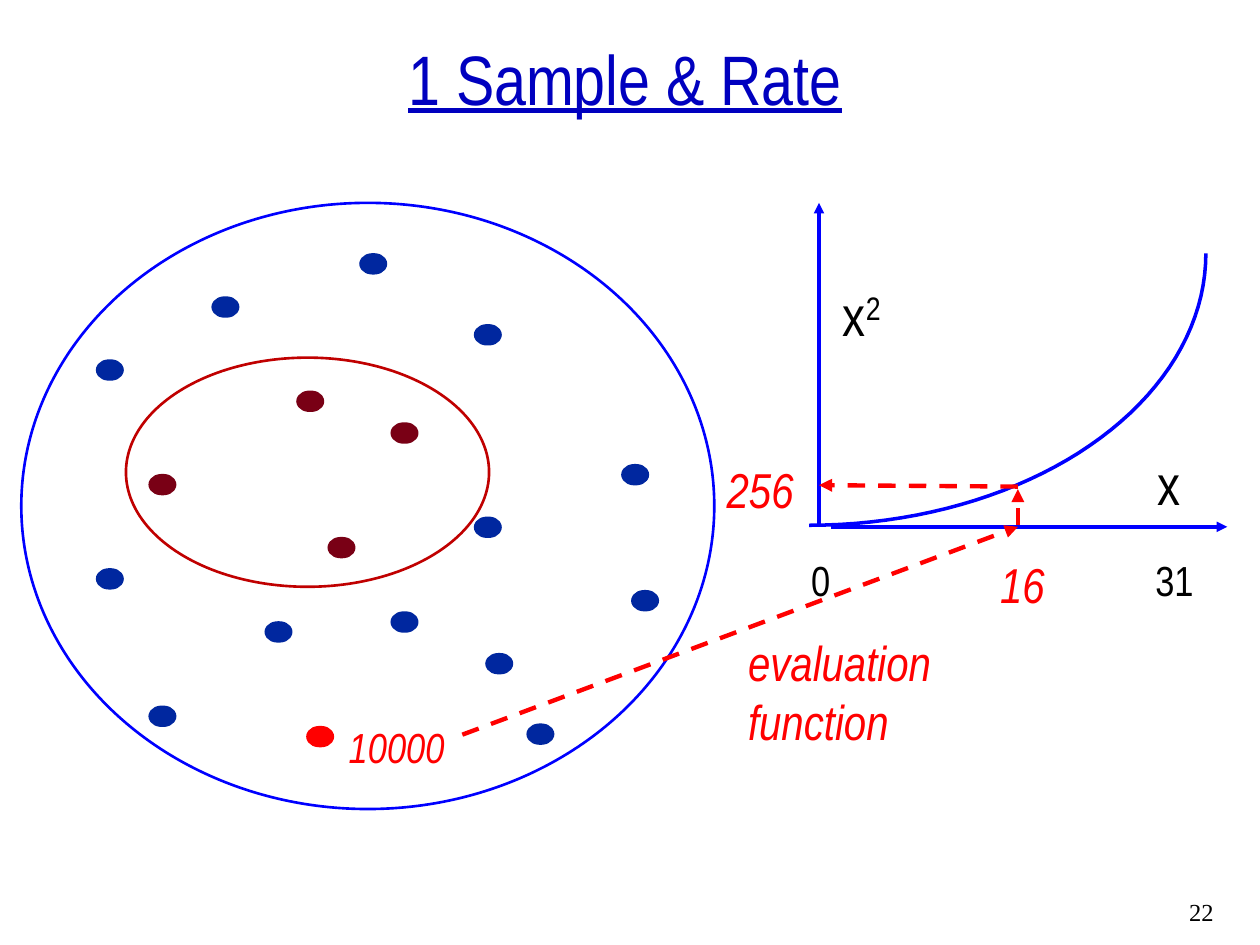
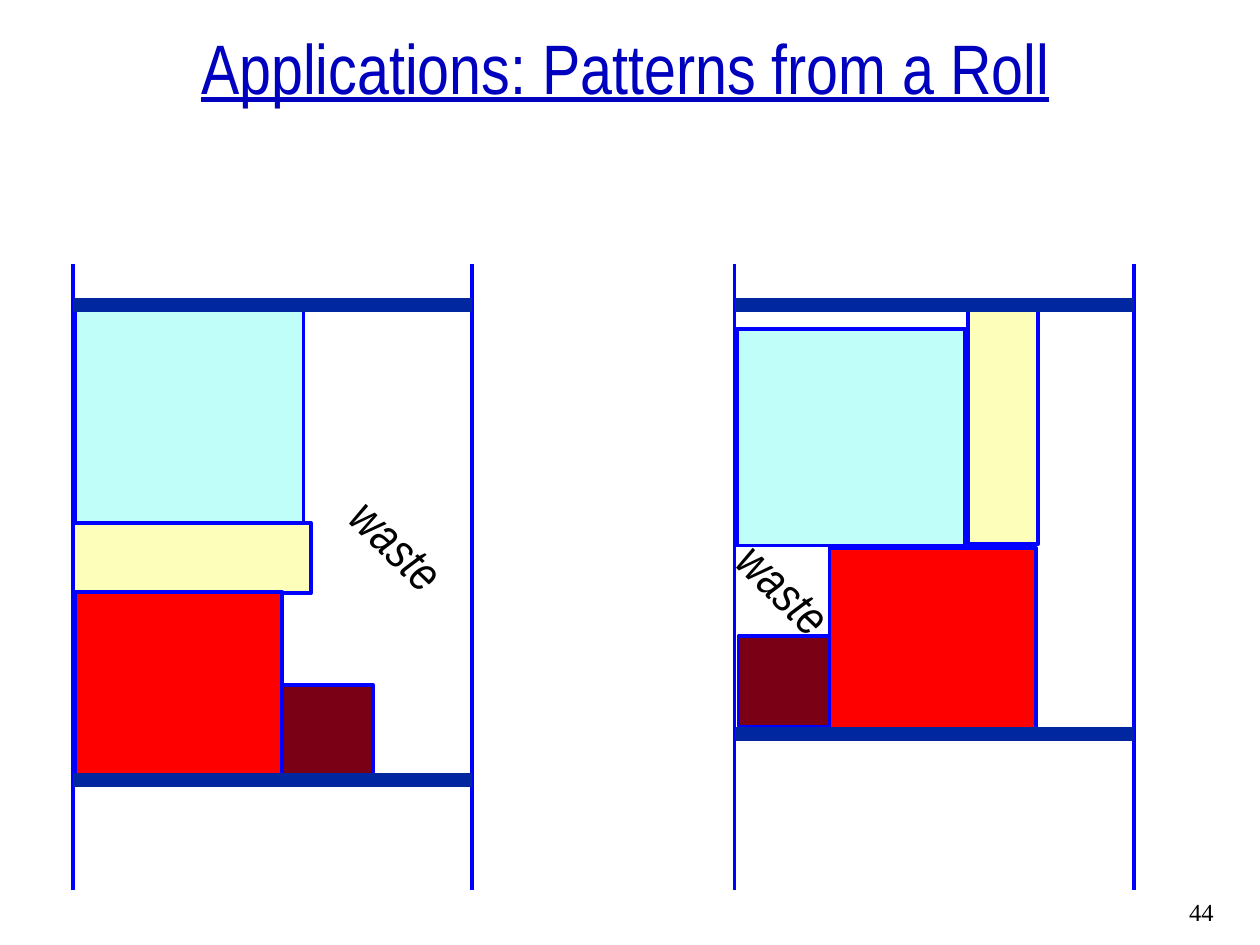
from dataclasses import dataclass
from math import cos, pi, sin

from lxml import etree
from pptx import Presentation
from pptx.dml.color import RGBColor
from pptx.enum.dml import MSO_LINE
from pptx.enum.shapes import MSO_CONNECTOR, MSO_SHAPE
from pptx.enum.text import MSO_ANCHOR, MSO_AUTO_SIZE, PP_ALIGN
from pptx.oxml.ns import qn
from pptx.util import Cm, Pt

OVAL = MSO_SHAPE.OVAL
RECT = MSO_SHAPE.RECTANGLE
STRAIGHT = MSO_CONNECTOR.STRAIGHT
DASH = MSO_LINE.DASH
CENTER = PP_ALIGN.CENTER
BOTTOM = MSO_ANCHOR.BOTTOM
NO_FIT = MSO_AUTO_SIZE.NONE
TITLE_ONLY = 5


@dataclass(frozen=True)
class Theme:
    font: str = "Arial Narrow"
    number_font: str = "Times New Roman"
    title: str = "0000BF"
    text: str = "000000"
    blue: str = "0000FF"
    navy: str = "00279F"
    red: str = "FF0000"
    crimson: str = "C00000"
    maroon: str = "790015"
    cyan: str = "C0FEF9"
    yellow: str = "FCFEB9"
    title_size: int = 40
    axis_size: int = 32
    note_size: int = 28
    label_size: int = 24
    number_size: int = 14
    outline: float = 1.5
    line: float = 2
    arrow: float = 2.5
    bar: float = 8
    dot: float = 10


T = Theme()
PIECES = {
    T.cyan: (4.6, 4.37),
    T.yellow: (4.8, 1.42),
    T.maroon: (1.83, 1.83),
    T.red: (4.17, 3.73),
}


def rgb(color):
    return RGBColor.from_string(color)


def add_run(p, text, size, color=T.text, font=T.font, italic=False):
    r = p.add_run()
    r.text = text
    r.font.name = font
    r.font.size = Pt(size)
    r.font.color.rgb = rgb(color)
    r.font.italic = italic
    return r


def add_label(s, box, text, size, color=T.text, font=T.font, italic=False, angle=0):
    sp = s.shapes.add_textbox(*map(Cm, box))
    sp.rotation = angle
    tf = sp.text_frame
    tf.word_wrap = True
    p = tf.paragraphs[0]
    add_run(p, text, size, color, font, italic)
    return p


def add_shape(s, kind, box, line, width, fill=None):
    sp = s.shapes.add_shape(kind, *map(Cm, box))
    sp.shadow.inherit = False
    if fill:
        sp.fill.solid()
        sp.fill.fore_color.rgb = rgb(fill)
    else:
        sp.fill.background()
    sp.line.color.rgb = rgb(line)
    sp.line.width = Pt(width)


def add_line(s, start, end, color=T.blue, width=T.line, arrow=False, dash=None):
    cx = s.shapes.add_connector(STRAIGHT, *map(Cm, start + end))
    cx.line.color.rgb = rgb(color)
    cx.line.width = Pt(width)
    if dash:
        cx.line.dash_style = dash
    if arrow:
        ln = cx.line._get_or_add_ln()
        etree.SubElement(ln, qn("a:tailEnd"), type="triangle")
    etree.SubElement(cx._element.spPr, qn("a:effectLst"))


def add_slide(prs, title, top, height, number):
    s = prs.slides.add_slide(prs.slide_layouts[TITLE_ONLY])
    sp = s.shapes.title
    sp.left, sp.top, sp.width, sp.height = map(Cm, (0, top, 25.2, height))
    tf = sp.text_frame
    tf.word_wrap = True
    tf.auto_size = NO_FIT
    tf.vertical_anchor = BOTTOM
    p = tf.paragraphs[0]
    p.alignment = CENTER
    add_run(p, title, T.title_size, T.title).font.underline = True
    add_label(s, (23.72, 17.96, 1.47, 0.84), number, T.number_size,
              font=T.number_font)
    return s


def add_population(s, box):
    left, top, width, height = box
    others = [(5.08, 8.61), (12.47, 7.98), (6.99, 1.19), (2.74, 10.31),
              (1.68, 7.54), (9.3, 6.5), (7.62, 8.41), (10.36, 10.67),
              (9.3, 2.62), (4.01, 2.06), (9.53, 9.25), (1.68, 3.33),
              (12.27, 5.44)]
    inner = [(2.74, 5.64), (6.35, 6.91), (5.72, 3.96), (7.62, 4.6)]
    rated = [(5.92, 10.72)]
    groups = ((others, T.navy, None), (inner, T.maroon, None),
              (rated, T.red, T.red))
    for dots, color, fill in groups:
        for x, y in dots:
            add_shape(s, OVAL, (left + x, top + y, 0.21, 0.08), color, T.dot, fill)
    add_label(s, (left + 6.35, top + 10.34, 3.81, 1.27), "10000",
              T.label_size, T.red, italic=True)
    add_shape(s, OVAL, box, T.blue, T.outline)
    add_shape(s, OVAL, (left + 2.11, top + 3.12, 7.32, 4.62), T.crimson, T.outline)


def add_curve(s, left, top, width, height, steps=40):
    angles = [pi / 2 * i / steps for i in range(steps + 1)]
    points = [(Cm(left + width * cos(a)), Cm(top + height * sin(a))) for a in angles]
    fb = s.shapes.build_freeform(*points[0])
    fb.add_line_segments(points[1:], close=False)
    sp = fb.convert_to_shape()
    sp.shadow.inherit = False
    sp.fill.background()
    sp.line.color.rgb = rgb(T.blue)
    sp.line.width = Pt(T.line)


def add_graph(s, box):
    left, top, width, height = box

    def at(x, y):
        return left + x, top + y

    add_line(s, at(0, height), at(0, 0), arrow=True)
    add_line(s, at(0.25, height), at(width, height), arrow=True)
    add_curve(s, *at(-0.2, 1.02), 8, 5.48)

    p = add_label(s, at(0.23, 1.45) + (1.91, 1.6), "x", T.axis_size)
    r = add_run(p, "2", T.axis_size)
    r._r.get_or_add_rPr().set("baseline", "30000")
    add_label(s, at(6.58, 4.85) + (1.68, 1.6), "x", T.axis_size)
    for x, text in ((-0.41, "0"), (6.53, "31")):
        add_label(s, at(x, 6.96) + (1.91, 1.27), text, T.label_size)

    steps = (((-7.19, 10.72), (4.01, height)),
             ((4.01, 6.5), (4.01, 5.77)),
             ((4.01, 5.72), (0, 5.69)))
    for start, end in steps:
        add_line(s, at(*start), at(*end), T.red, T.arrow, True, DASH)

    notes = (("16", 3.4, 6.96, 2.54, 1.42),
             ("256", -2.11, 5.05, 4.01, 1.42),
             ("evaluation function", -1.68, 8.53, 6.55, 2.62))
    for text, x, y, w, h in notes:
        add_label(s, at(x, y) + (w, h), text, T.note_size, T.red, italic=True)


def add_roll(s, box, cut, pieces, waste):
    left, top, width, height = box
    right = left + width
    for x in (left, right):
        add_line(s, (x, top), (x, top + height))
    for color, x, y, turned in pieces:
        w, h = PIECES[color]
        if turned:
            w, h = h, w
        add_shape(s, RECT, (left + x, top + y, w, h), T.blue, T.line, color)
    for y in (0.81, cut):
        add_line(s, (left, top + y), (right, top + y), T.navy, T.bar)
    x, y = waste
    add_label(s, (left + x, top + y, 3.58, 1.42), "waste", T.note_size,
              italic=True, angle=44)


def sample_slide(prs):
    s = add_slide(prs, "1 Sample & Rate", 1.07, 1.47, "22")
    add_population(s, (0.43, 4.09, 13.97, 12.22))
    add_graph(s, (16.51, 4.09, 8.23, 6.53))


def roll_slide(prs):
    s = add_slide(prs, "Applications: Patterns from a Roll", 0.94, 1.37, "44")
    stacked = ((T.cyan, 0.05, 0.84, False), (T.yellow, 0, 5.21, False),
               (T.maroon, 4.22, 8.48, False), (T.red, 0.05, 6.6, False))
    packed = ((T.cyan, 0.05, 1.3, False), (T.red, 1.91, 5.72, False),
              (T.yellow, 4.7, 0.84, True), (T.maroon, 0.08, 7.49, False))
    add_roll(s, (1.47, 5.33, 8.05, 12.62), 10.39, stacked, (5.11, 5.26))
    add_roll(s, (14.81, 5.33, 8.05, 12.62), 9.47, packed, (-0.43, 6.15))


prs = Presentation()
prs.slide_width, prs.slide_height = Cm(25.4), Cm(19.05)
sample_slide(prs)
roll_slide(prs)
prs.save("out.pptx")
